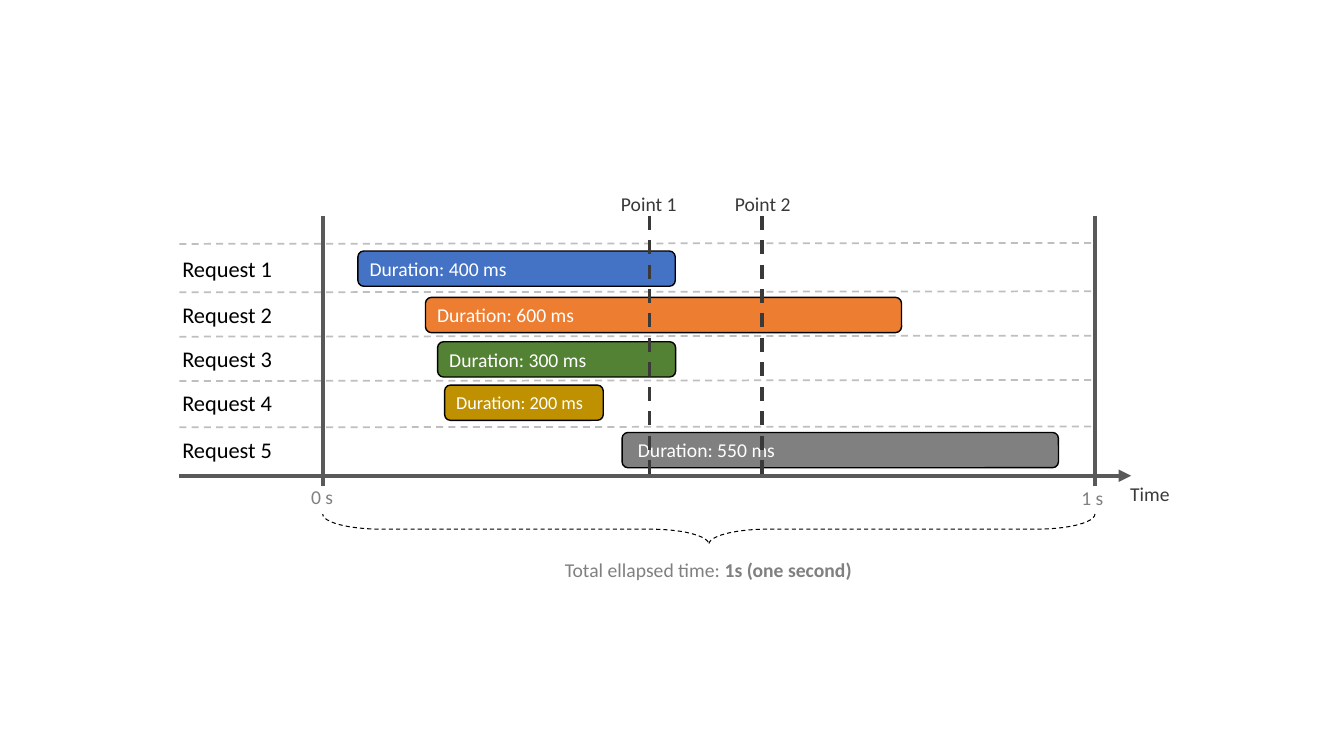
from pptx import Presentation
from pptx.dml.color import RGBColor
from pptx.enum.dml import MSO_LINE
from pptx.enum.shapes import MSO_CONNECTOR, MSO_SHAPE
from pptx.enum.text import MSO_ANCHOR, MSO_AUTO_SIZE, PP_ALIGN
from pptx.oxml.ns import qn
from pptx.util import Inches, Pt
from lxml import etree

STRAIGHT = MSO_CONNECTOR.STRAIGHT
BAR, BRACE = MSO_SHAPE.ROUNDED_RECTANGLE, MSO_SHAPE.RIGHT_BRACE
DASH = MSO_LINE.DASH
LEFT, CENTER = PP_ALIGN.LEFT, PP_ALIGN.CENTER
MIDDLE, TOP = MSO_ANCHOR.MIDDLE, MSO_ANCHOR.TOP
GROW, FIXED = MSO_AUTO_SIZE.SHAPE_TO_FIT_TEXT, MSO_AUTO_SIZE.NONE

THEME = {
    "font": "Calibri",
    "label_size": 16, "text_size": 14, "small_size": 13,
    "black": "000000", "white": "FFFFFF", "dark": "3B3838",
    "axis": "595959", "muted": "808080", "separator": "BFBFBF",
    "blue": "4472C4", "orange": "ED7D31", "green": "548235",
    "gold": "BF9000", "gray": "808080",
}
INCHES_PER_SECOND = 7.87
BAR_HEIGHT = 0.35
AXIS_Y = 4.72


def color(name):
    return RGBColor.from_string(THEME[name])


def write_text(shape, runs, size, color_name, alignment=LEFT, anchor=TOP, auto_size=GROW):
    frame = shape.text_frame
    frame_format = {"word_wrap": True, "auto_size": auto_size, "vertical_anchor": anchor}
    for attribute, value in frame_format.items():
        setattr(frame, attribute, value)
    paragraph = frame.paragraphs[0]
    paragraph.alignment = alignment
    for text, bold in runs:
        run = paragraph.add_run()
        run.text = text
        run.font.color.rgb = color(color_name)
        run_format = {"name": THEME["font"], "size": Pt(THEME[size]), "bold": bold}
        for attribute, value in run_format.items():
            setattr(run.font, attribute, value)


presentation = Presentation()
presentation.slide_width = Inches(13.33)
presentation.slide_height = Inches(7.5)
slide = presentation.slides.add_slide(presentation.slide_layouts[6])
shapes = slide.shapes

requests = [
    ("Request 1", 400, 3.55, 2.49, "blue", "text_size", 0.1),
    ("Request 2", 600, 4.22, 2.95, "orange", "text_size", 0.1),
    ("Request 3", 300, 4.34, 3.39, "green", "text_size", 0.1),
    ("Request 4", 200, 4.41, 3.82, "gold", "small_size", 0.1),
    ("Request 5", 550, 6.17, 4.29, "gray", "text_size", 0.14),
]
for name, duration, left, top, fill, size, inset in requests:
    width = duration / 1000 * INCHES_PER_SECOND
    bar = shapes.add_shape(BAR, Inches(left), Inches(top), Inches(width), Inches(BAR_HEIGHT))
    bar.shadow.inherit = False
    bar.fill.solid()
    bar.fill.fore_color.rgb = color(fill)
    bar.line.color.rgb = color("black")
    bar.line.width = Pt(1)
    write_text(bar, [(f"Duration: {duration} ms", False)], size, "white",
               anchor=MIDDLE, auto_size=FIXED)
    bar.text_frame.margin_left = Inches(inset)

    label = shapes.add_textbox(Inches(1.71), Inches(top - 0.01), Inches(1.3), Inches(0.37))
    write_text(label, [(name, False)], "label_size", "black")

brace = shapes.add_shape(BRACE, Inches(6.88), Inches(1.42), Inches(0.3), Inches(7.66))
brace.rotation = 90
brace.adjustments[0] = 1.94
brace.adjustments[1] = 0.5
brace.shadow.inherit = False
brace.fill.background()
brace.line.color.rgb = color("black")
brace.line.width = Pt(0.75)
brace.line.dash_style = DASH

separators = [(1.78, y, 10.83, y - 0.01, "separator", 1.25, DASH)
              for y in (2.42, 2.9, 3.34, 3.78, 4.24)]
points = [(x, 2.14, x, 4.74, "dark", 2.5, DASH) for x in (6.44, 7.56)]
bounds = [(x, 2.14, x, 4.82, "axis", 3, None) for x in (3.2, 10.86)]
time_axis = (1.78, AXIS_Y, 11.22, AXIS_Y, "axis", 3, None)
for x1, y1, x2, y2, line_color, weight, dash in separators + points + bounds + [time_axis]:
    connector = shapes.add_connector(STRAIGHT, Inches(x1), Inches(y1), Inches(x2), Inches(y2))
    connector.line.color.rgb = color(line_color)
    connector.line.width = Pt(weight)
    connector.line.dash_style = dash
    properties = connector._element.spPr
    etree.SubElement(properties, qn("a:effectLst"))
etree.SubElement(properties.find(qn("a:ln")), qn("a:tailEnd"), type="triangle")

captions = [
    ([("Point 1", False)], 6.05, 1.86, 0.77, "dark"),
    ([("Point 2", False)], 7.18, 1.86, 0.77, "dark"),
    ([("0 s", False)], 2.81, 4.76, 0.77, "muted"),
    ([("1 s", False)], 10.45, 4.77, 0.77, "muted"),
    ([("Time", False)], 11.02, 4.73, 0.77, "dark"),
    ([("Total ellapsed time: ", False), ("1s (one second)", True)], 5.25, 5.49, 3.55, "muted"),
]
for runs, left, top, width, text_color in captions:
    caption = shapes.add_textbox(Inches(left), Inches(top), Inches(width), Inches(0.34))
    write_text(caption, runs, "text_size", text_color, CENTER)

presentation.save("out.pptx")
